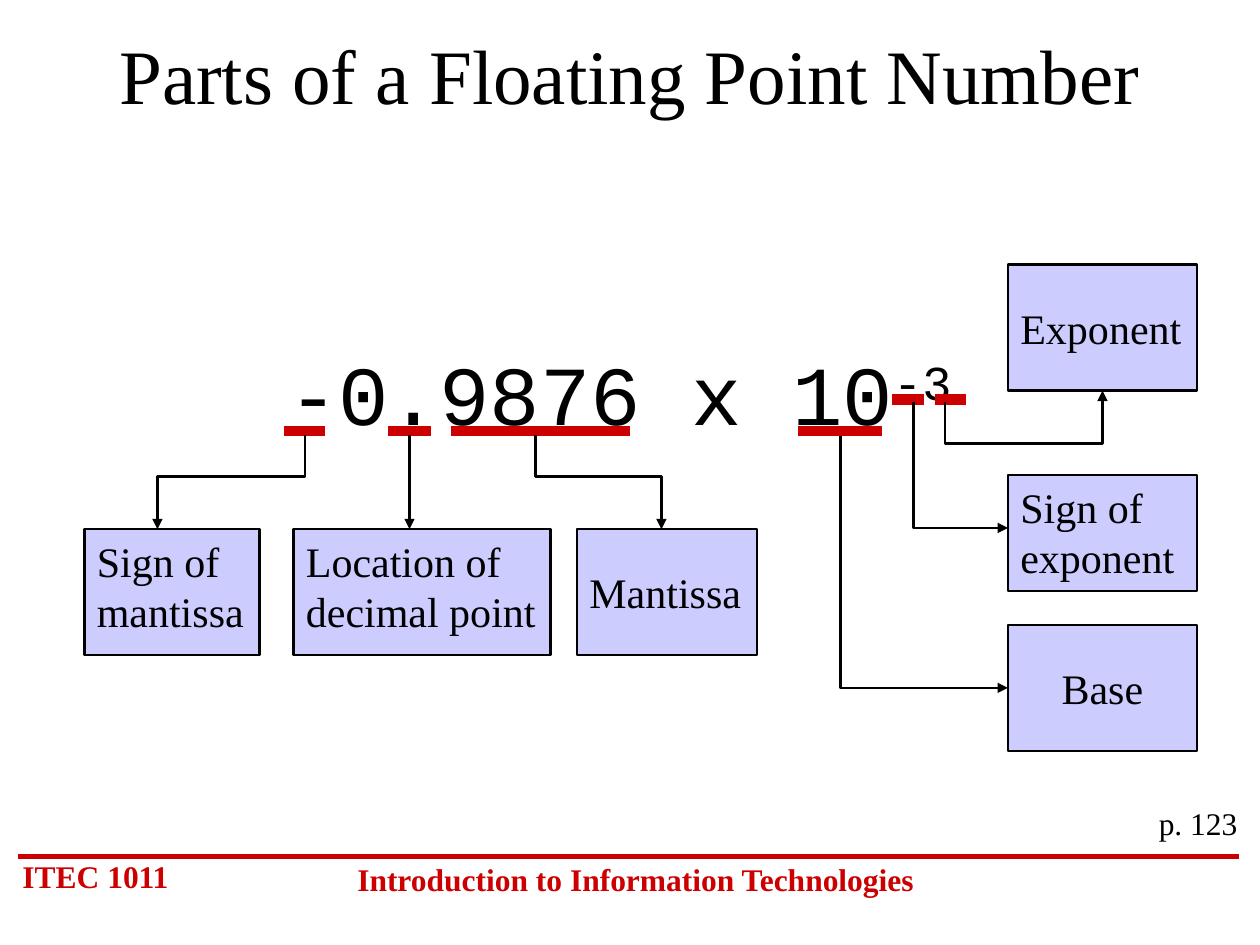
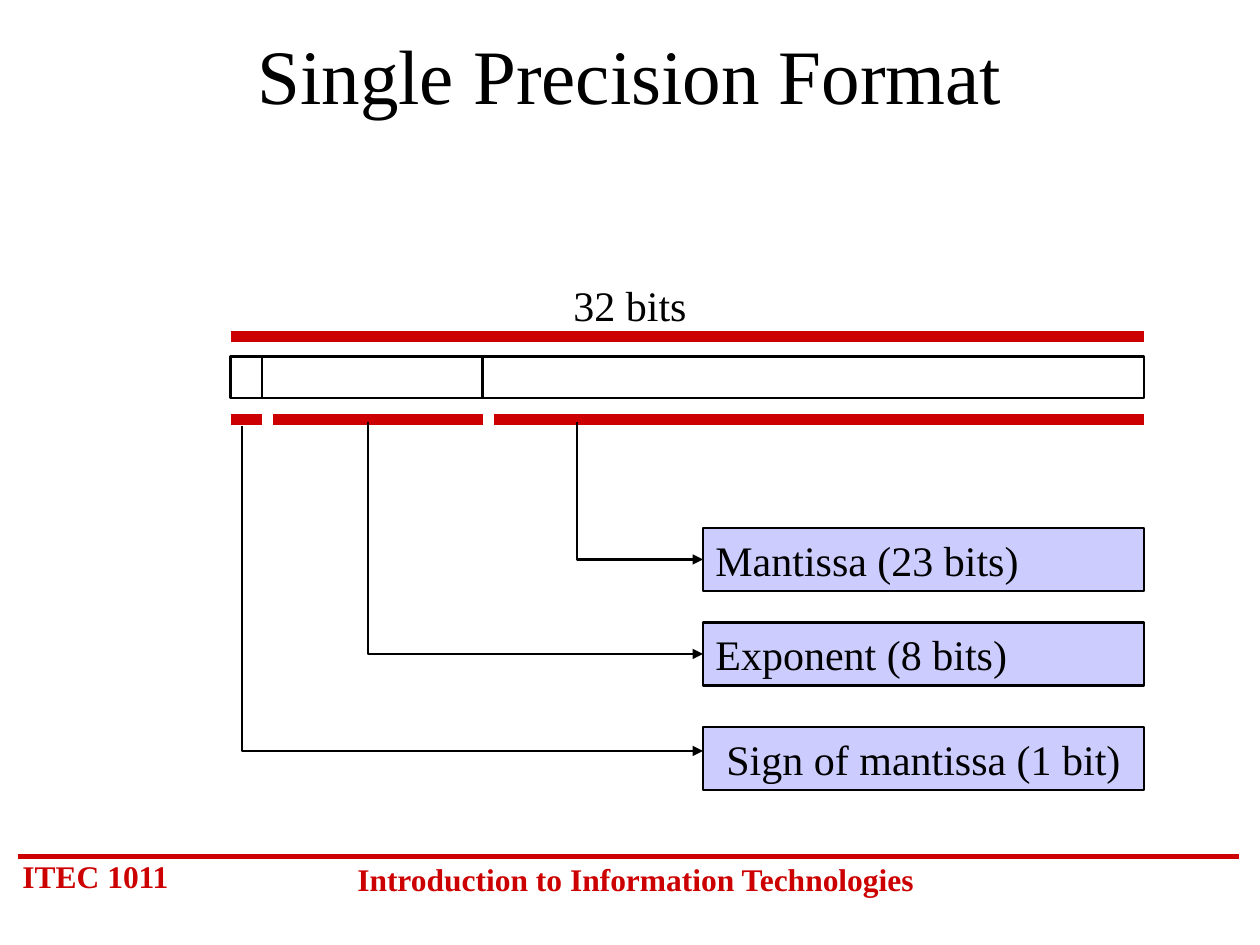
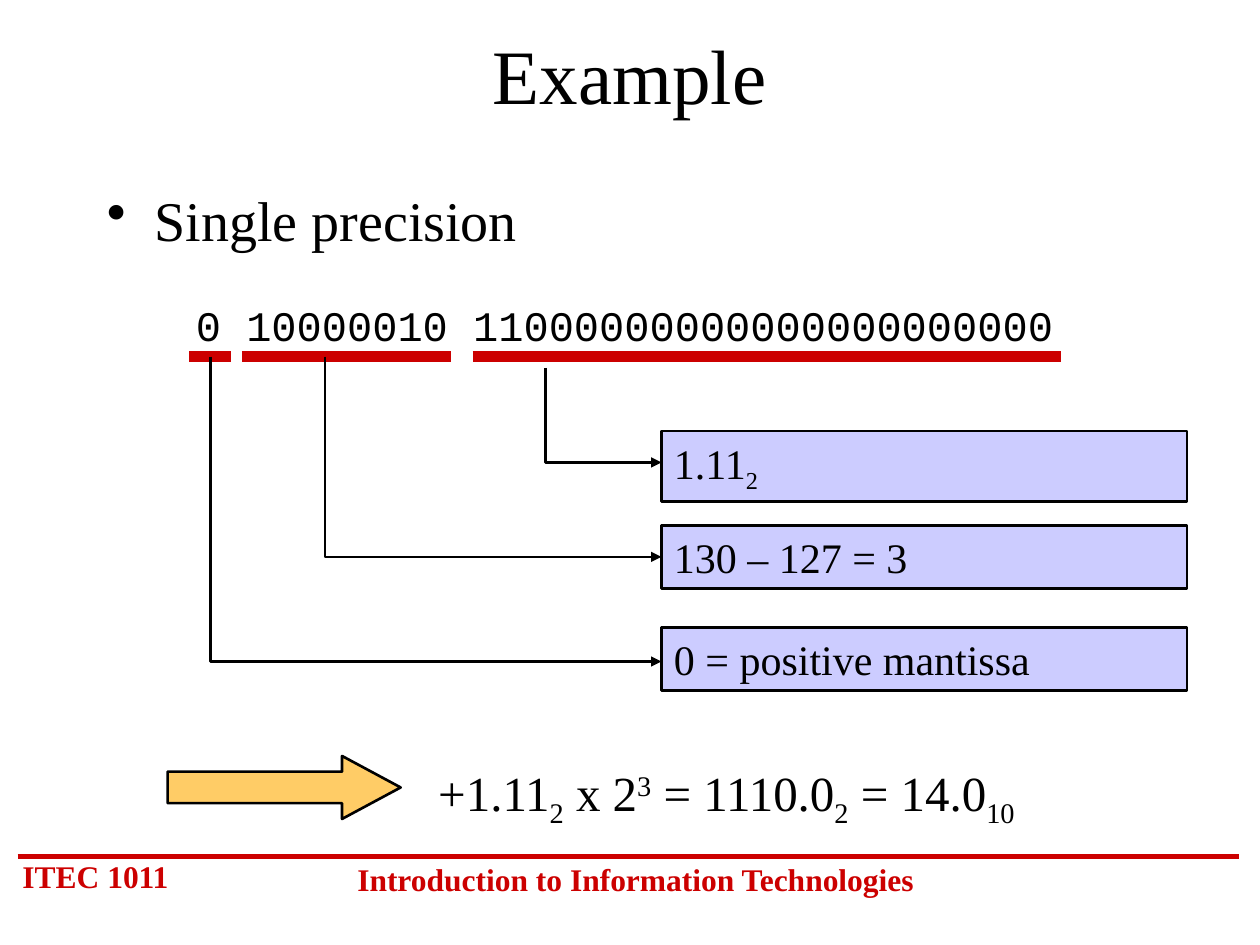
from collections import namedtuple

from lxml import etree
from pptx import Presentation
from pptx.dml.color import RGBColor
from pptx.enum.shapes import MSO_CONNECTOR, MSO_SHAPE
from pptx.enum.text import MSO_ANCHOR as ANCHOR, PP_ALIGN as ALIGN
from pptx.oxml.ns import qn
from pptx.util import Inches, Pt

RED, BLACK, LILAC, AMBER = "CC0000", "000000", "CCCCFF", "FFCC66"
SERIF, MONO = "Times New Roman", "Courier New"
SUB, SUPER = -25000, 30000

Box = namedtuple("Box", "left top width height")
# One bit field: underline ends, stem x and top, arrow y, label top and height
Field = namedtuple("Field", "start end stem stem_top arrow label_top height runs align",
                   defaults=[ALIGN.LEFT])


def color(value):
    return RGBColor.from_string(value)


def inches(values):
    return [Inches(value) for value in values]


def within(box, left, top, width, height):
    return Box(box.left + left, box.top + top, width, height)


# Basic parts

def write(frame, runs, size, font=SERIF, ink=BLACK, align=ALIGN.LEFT, bold=False):
    """Fill the first paragraph with (text, baseline) runs."""
    para = frame.paragraphs[0]
    para.alignment = align
    for text, baseline in runs:
        for number, line in enumerate(text.split("\n")):
            if number:
                para.add_line_break()
            span = para.add_run()
            span.text = line
            span.font.name, span.font.size, span.font.bold = font, Pt(size), bold
            span.font.color.rgb = color(ink)
            if baseline:
                span._r.get_or_add_rPr().set("baseline", str(baseline))
    return para


def add_text(page, box, runs, size, anchor=ANCHOR.TOP, **style):
    frame = page.shapes.add_textbox(*inches(box)).text_frame
    frame.word_wrap = True
    frame.vertical_anchor = anchor
    write(frame, runs, size, **style)
    return frame


def add_outlined(page, kind, box, fill=None):
    shape = page.shapes.add_shape(kind, *inches(box))
    shape.shadow.inherit = False
    if fill:
        shape.fill.solid()
        shape.fill.fore_color.rgb = color(fill)
    else:
        shape.fill.background()
    shape.line.color.rgb = color(BLACK)
    shape.line.width = Pt(1.5)
    return shape


def add_label(page, box, runs, wrap=True, anchor=ANCHOR.TOP, align=ALIGN.LEFT):
    frame = add_outlined(page, MSO_SHAPE.RECTANGLE, box, LILAC).text_frame
    frame.word_wrap = wrap
    frame.vertical_anchor = anchor
    write(frame, runs, 24, align=align)


def add_line(page, start, end, ink=RED, width=6):
    line = page.shapes.add_connector(MSO_CONNECTOR.STRAIGHT, *inches([*start, *end]))
    line.line.color.rgb = color(ink)
    line.line.width = Pt(width)
    etree.SubElement(line._element.spPr, qn("a:effectLst"))
    return line


def add_arrow(page, box, points):
    """Draw a line through points given relative to the box, with an arrowhead."""
    points = [(box.left + x, box.top + y) for x, y in points]
    if len(points) == 2:
        arrow = add_line(page, *points, ink=BLACK, width=1.5)
    else:
        start, *rest = [inches(point) for point in points]
        builder = page.shapes.build_freeform(*start)
        builder.add_line_segments(rest, close=False)
        arrow = builder.convert_to_shape()
        arrow.shadow.inherit = False
        arrow.fill.background()
        arrow.line.color.rgb = color(BLACK)
        arrow.line.width = Pt(1.5)
    etree.SubElement(arrow.line._get_or_add_ln(), qn("a:tailEnd"), type="triangle")


# Shared page frame

def add_page(deck, title):
    page = deck.slides.add_slide(deck.slide_layouts[6])
    add_line(page, (0.14, 6.8), (9.83, 6.8), width=3)
    add_text(page, Box(0.08, 6.75, 1.5, 0.4), [("ITEC 1011", 0)], 18, ink=RED, bold=True)
    add_text(page, Box(2.67, 6.78, 4.75, 0.4),
             [("Introduction to Information Technologies", 0)], 18,
             ink=RED, bold=True, align=ALIGN.CENTER)
    add_text(page, Box(0.75, 0.17, 8.5, 0.83), [(title, 0)], 44,
             anchor=ANCHOR.MIDDLE, align=ALIGN.CENTER)
    return page


# Regions

def number_parts(page, box):
    """Floating point number with each part underlined and named."""
    number = add_text(page, within(box, 0, 0.49, 8.5, 0.92),
                      [("-0.9876 x 10", 0), ("-3", SUPER)], 48,
                      font=MONO, align=ALIGN.CENTER, anchor=ANCHOR.BOTTOM)
    number.margin_bottom = 0

    underlines = [(1.58, 1.91, 1.32), (2.41, 2.75, 1.32), (2.91, 4.33, 1.32),
                  (5.66, 6.33, 1.32), (6.41, 6.66, 1.07), (6.75, 7, 1.07)]
    for start, end, y in underlines:
        add_line(page, (box.left + start, box.top + y), (box.left + end, box.top + y))

    top, middle = ANCHOR.TOP, ANCHOR.MIDDLE
    labels = [
        ("Sign of\nmantissa", (0, 2.1, 1.39, 1), top, ALIGN.LEFT),
        ("Location of\ndecimal point", (1.66, 2.1, 2.04, 1), top, ALIGN.LEFT),
        ("Mantissa", (3.91, 2.1, 1.43, 1), middle, ALIGN.LEFT),
        ("Exponent", (7.33, 0, 1.5, 1), middle, ALIGN.LEFT),
        ("Sign of\nexponent", (7.33, 1.67, 1.5, 0.92), top, ALIGN.LEFT),
        ("Base", (7.33, 2.86, 1.5, 1), middle, ALIGN.CENTER),
    ]
    for text, place, anchor, align in labels:
        add_label(page, within(box, *place), [(text, 0)], False, anchor, align)

    arrows = [
        [(1.75, 1.35), (1.75, 1.68), (0.58, 1.68), (0.58, 2.1)],
        [(2.58, 1.35), (2.58, 2.1)],
        [(3.58, 1.35), (3.58, 1.68), (4.58, 1.68), (4.58, 2.1)],
        [(6, 1.36), (6, 3.36), (7.33, 3.36)],
        [(6.58, 1.09), (6.58, 2.09), (7.33, 2.09)],
        [(6.83, 1.09), (6.83, 1.42), (8.08, 1.42), (8.08, 1)],
    ]
    for points in arrows:
        add_arrow(page, box, points)


def bit_fields(page, box, label_width, fields):
    """Underlines along the top of the box, each leading to a label at its right."""
    label_left = box.width - label_width
    for field in fields:
        add_line(page, (box.left + field.start, box.top), (box.left + field.end, box.top))
        add_label(page, within(box, label_left, field.label_top, label_width, field.height),
                  field.runs, align=field.align)
        add_arrow(page, box, [(field.stem, field.stem_top), (field.stem, field.arrow),
                              (label_left, field.arrow)])


def bit_strip(page, box, widths):
    """Total width marked above a row of empty cells."""
    add_text(page, within(box, 1.92, 0, 2.5, 0.5), [("32 bits", 0)], 24, align=ALIGN.CENTER)
    add_line(page, (box.left, box.top + 0.5), (box.left + box.width, box.top + 0.5))
    left = 0
    for width in widths:
        add_outlined(page, MSO_SHAPE.RECTANGLE, within(box, left, 0.66, width, 0.33))
        left += width


def bullet_line(page, box, text):
    para = add_text(page, box, [(text, 0)], 32).paragraphs[0]
    props = para._p.get_or_add_pPr()
    props.set("marL", str(Inches(0.38)))
    props.set("indent", str(Inches(-0.38)))
    etree.SubElement(props, qn("a:buChar"), char="•")


def result_line(page, box):
    arrow = add_outlined(page, MSO_SHAPE.RIGHT_ARROW, within(box, 0, 0, 1.85, 0.5), AMBER)
    arrow.adjustments[1] = 0.93
    add_text(page, within(box, 2.05, 0, 5.54, 0.63),
             [("+1.11", 0), ("2", SUB), (" x 2", 0), ("3", SUPER), (" = 1110.0", 0),
              ("2", SUB), (" = 14.0", 0), ("10", SUB)], 28)


# Slides

def parts_slide(deck):
    page = add_page(deck, "Parts of a Floating Point Number")
    number_parts(page, Box(0.67, 2.1, 8.83, 3.86))
    add_text(page, Box(8.75, 6.33, 1.17, 0.4), [("p. 123", 0)], 18, align=ALIGN.RIGHT)


def format_slide(deck):
    page = add_page(deck, "Single Precision Format")
    bit_strip(page, Box(1.83, 2.17, 7.25, 0.99), [0.25, 1.75, 5.25])
    bit_fields(page, Box(1.83, 3.33, 7.25, 2.94), 3.5, [
        Field(2.09, 7.25, 2.75, 0.02, 1.11, 0.86, 0.5, [("Mantissa (23 bits)", 0)]),
        Field(0.34, 2, 1.09, 0.02, 1.86, 1.61, 0.5, [("Exponent (8 bits)", 0)]),
        Field(0, 0.25, 0.09, 0.05, 2.63, 2.44, 0.5, [("Sign of mantissa (1 bit)", 0)],
              ALIGN.CENTER),
    ])


def example_slide(deck):
    page = add_page(deck, "Example")
    bullet_line(page, Box(0.75, 1.42, 8.5, 4.5), "Single precision")
    add_text(page, Box(1.08, 2.33, 7.75, 0.5),
             [("0 10000010 11000000000000000000000", 0)], 24, font=MONO, align=ALIGN.CENTER)
    bit_fields(page, Box(1.5, 2.83, 7.92, 2.65), 4.17, [
        Field(2.25, 6.92, 2.83, 0.09, 0.84, 0.59, 0.56, [("1.11", 0), ("2", SUB)]),
        Field(0.42, 2.08, 1.08, 0, 1.59, 1.34, 0.5, [("130 – 127 = 3", 0)]),
        Field(0, 0.33, 0.17, 0, 2.42, 2.15, 0.5, [("0 = positive mantissa", 0)]),
    ])
    result_line(page, Box(1.33, 6, 7.59, 0.63))


def main():
    deck = Presentation()
    deck.slide_width, deck.slide_height = Inches(10), Inches(7.5)
    parts_slide(deck)
    format_slide(deck)
    example_slide(deck)
    deck.save("out.pptx")


if __name__ == "__main__":
    main()
